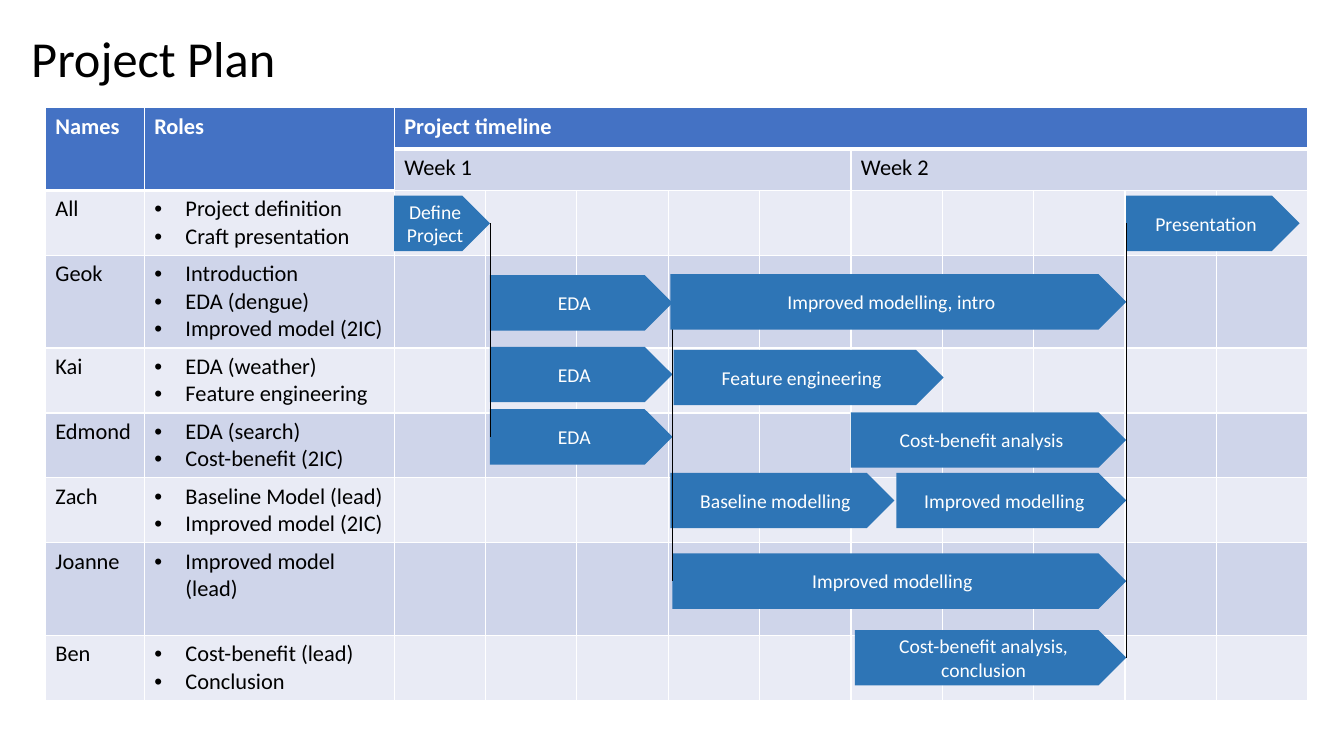
from pptx import Presentation
from pptx.dml.color import RGBColor
from pptx.enum.shapes import MSO_CONNECTOR, MSO_SHAPE
from pptx.enum.text import MSO_ANCHOR, PP_ALIGN
from pptx.oxml.ns import qn
from pptx.util import Pt
from lxml.etree import SubElement

PX = 9144
FONT = "Calibri"
HUES = {
    "head": "4472C4",
    "dark": "CFD5EA",
    "light": "E9EBF5",
    "bar": "2E75B6",
    "white": "FFFFFF",
    "black": "000000",
}
TEAM = [
    ("All", 64, ["Project definition", "Craft presentation"]),
    ("Geok", 92, ["Introduction", "EDA (dengue)", "Improved model (2IC)"]),
    ("Kai", 64, ["EDA (weather)", "Feature engineering"]),
    ("Edmond", 64, ["EDA (search)", "Cost-benefit (2IC)"]),
    ("Zach", 64, ["Baseline Model (lead)", "Improved model (2IC)"]),
    ("Joanne", 92, ["Improved model (lead)"]),
    ("Ben", 64, ["Cost-benefit (lead)", "Conclusion"]),
]
DAYS = 10
BACK = {
    "define": ("Define\nProject", 391, 194, 95),
    "present": ("Presentation", 1117, 194, 172),
    "geok": ("EDA", 486, 273, 181),
    "kai": ("EDA", 486, 344, 181),
    "edmond": ("EDA", 486, 406, 181),
    "ben": ("Cost-benefit analysis, conclusion", 848, 625, 269),
    "base": ("Baseline modelling", 665, 469, 222),
    "joanne": ("Improved modelling", 667, 549, 450),
}
FRONT = [
    ("Improved modelling, intro", 665, 272, 452),
    ("Feature engineering", 668, 347, 268),
    ("Cost-benefit analysis", 844, 409, 273),
    ("Improved modelling", 889, 469, 228),
]
LINKS = [
    ("define", 3, "edmond", 1),
    ("geok", 3, "joanne", 1),
    ("present", 1, "ben", 3),
]


def hue(name):
    return RGBColor.from_string(HUES[name])


def style(par, size, color, bold=False):
    font = par.font
    font.name, font.size, font.bold = FONT, Pt(size), bold
    font.color.rgb = hue(color)


def write(cell, text, color="black", bold=False):
    cell.text = text
    for par in cell.text_frame.paragraphs:
        style(par, 16, color, bold)


def bullet(par):
    props = par._p.get_or_add_pPr()
    props.set("marL", str(31 * PX))
    props.set("indent", str(-31 * PX))
    SubElement(props, qn("a:buFont"), typeface="Arial")
    SubElement(props, qn("a:buChar"), char="•")


def is_head(row, col):
    return row == 0 or row == 1 and col < 2


def paint(cell, row, col):
    top = 3 if is_head(row - 1, col) else 1
    base = 3 if is_head(row, col) else 1
    props = cell._tc.get_or_add_tcPr()
    for side, width in zip("LRTB", (1, 1, top, base)):
        edge = SubElement(props, qn("a:ln" + side), w=str(Pt(width)))
        fill = SubElement(edge, qn("a:solidFill"))
        SubElement(fill, qn("a:srgbClr"), val=HUES["white"])
    name = "head" if is_head(row, col) else "dark" if row % 2 else "light"
    cell.fill.solid()
    cell.fill.fore_color.rgb = hue(name)


def add_title(slide, left, top, width, height):
    title = slide.shapes.title
    title.left, title.top = left * PX, top * PX
    title.width, title.height = width * PX, height * PX
    frame = title.text_frame
    frame.text = "Project Plan"
    frame.vertical_anchor = MSO_ANCHOR.MIDDLE
    par = frame.paragraphs[0]
    par.alignment = PP_ALIGN.LEFT
    style(par, 36, "black")


def add_grid(slide, left, top, width):
    rows = [41, 41] + [tall for _, tall, _ in TEAM]
    wide = [98, 248]
    day = (width - sum(wide)) * PX // DAYS
    grid = slide.shapes.add_table(
        len(rows), len(wide) + DAYS, left * PX, top * PX, width * PX, sum(rows) * PX
    ).table
    for row, tall in zip(grid.rows, rows):
        row.height = tall * PX
    for col, span in zip(grid.columns, [w * PX for w in wide] + [day] * DAYS):
        col.width = span
    for row in range(len(rows)):
        for col in range(len(wide) + DAYS):
            paint(grid.cell(row, col), row, col)

    for row, col, down, last, text in [
        (0, 0, 1, 0, "Names"),
        (0, 1, 1, 1, "Roles"),
        (0, 2, 0, 11, "Project timeline"),
        (1, 2, 1, 6, "Week 1"),
        (1, 7, 1, 11, "Week 2"),
    ]:
        cell = grid.cell(row, col)
        cell.merge(grid.cell(down, last))
        first = row == 0
        write(cell, text, "white" if first else "black", first)

    for row, (name, _, roles) in enumerate(TEAM, 2):
        write(grid.cell(row, 0), name)
        cell = grid.cell(row, 1)
        write(cell, "\n".join(roles))
        for par in cell.text_frame.paragraphs:
            bullet(par)


def add_bar(slide, text, left, top, width, height=55):
    bar = slide.shapes.add_shape(
        MSO_SHAPE.PENTAGON, left * PX, top * PX, width * PX, height * PX
    )
    bar.shadow.inherit = False
    bar.fill.solid()
    bar.fill.fore_color.rgb = hue("bar")
    bar.line.fill.background()
    frame = bar.text_frame
    frame.text = text
    frame.word_wrap = True
    frame.vertical_anchor = MSO_ANCHOR.MIDDLE
    for par in frame.paragraphs:
        par.alignment = PP_ALIGN.CENTER
        style(par, 14, "white")
    return bar


def add_link(slide, start, out, end, into):
    link = slide.shapes.add_connector(MSO_CONNECTOR.STRAIGHT, 0, 0, 0, 0)
    link.begin_connect(start, out)
    link.end_connect(end, into)
    link.line.color.rgb = hue("black")
    link.line.width = Pt(0.5)
    SubElement(link._element.spPr, qn("a:effectLst"))


def add_plan(slide):
    bars = {key: add_bar(slide, *bar) for key, bar in BACK.items()}
    for start, out, end, into in LINKS:
        add_link(slide, bars[start], out, bars[end], into)
    for bar in FRONT:
        add_bar(slide, *bar)


def main():
    deck = Presentation()
    deck.slide_width, deck.slide_height = 1333 * PX, 750 * PX
    slide = deck.slides.add_slide(deck.slide_layouts[5])
    add_title(slide, 21, 21, 992, 71)
    add_grid(slide, 45, 107, 1252)
    add_plan(slide)
    deck.save("out.pptx")


if __name__ == "__main__":
    main()
